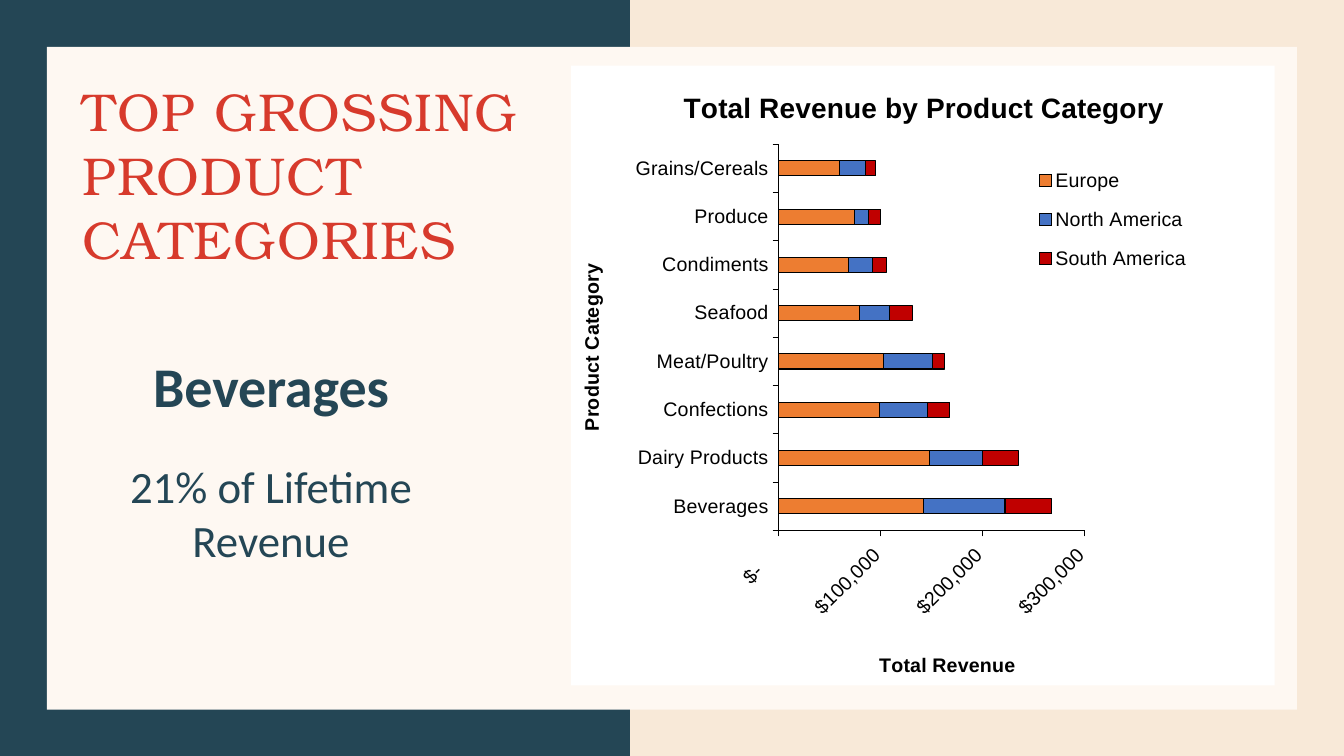
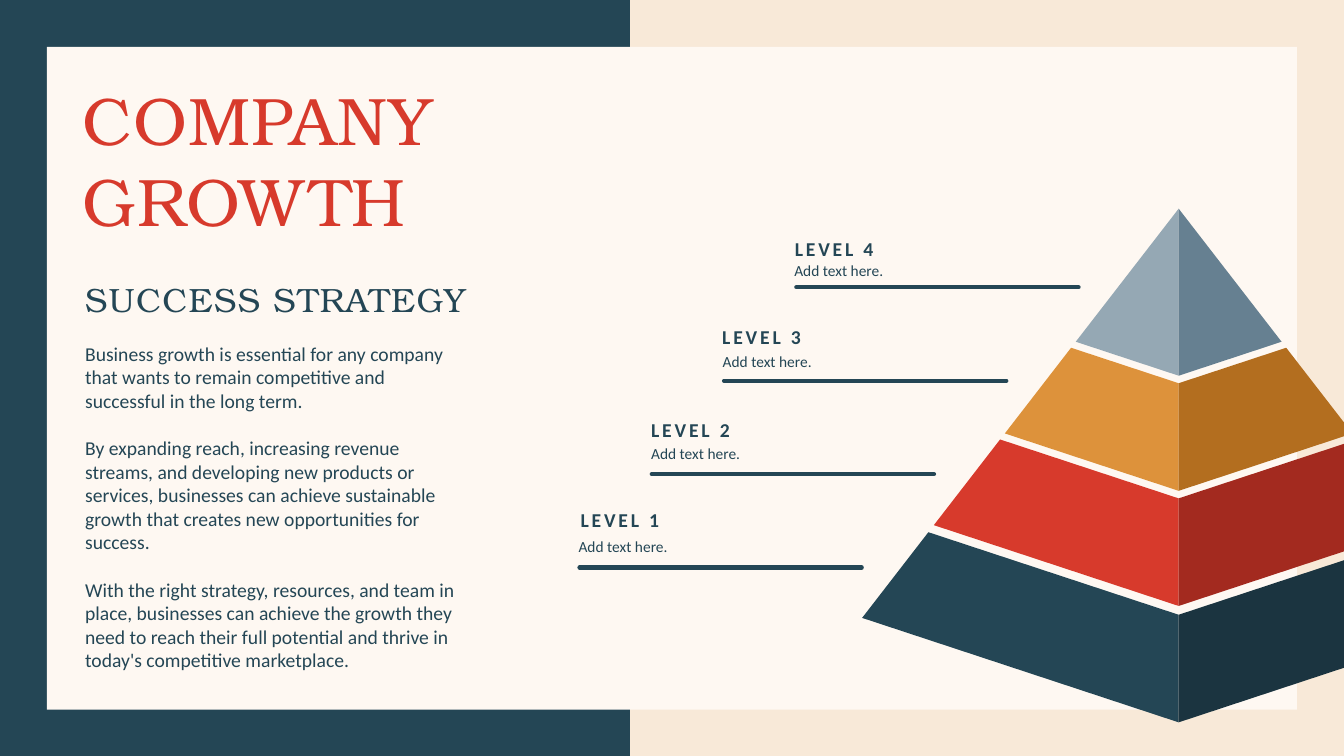
import math
from dataclasses import dataclass
from typing import NamedTuple, Optional

from lxml import etree
from pptx import Presentation
from pptx.chart.data import CategoryChartData
from pptx.dml.color import RGBColor
from pptx.enum.chart import XL_CHART_TYPE, XL_LEGEND_POSITION, XL_TICK_MARK
from pptx.enum.shapes import MSO_CONNECTOR, MSO_SHAPE
from pptx.enum.text import MSO_ANCHOR, PP_ALIGN
from pptx.oxml import parse_xml
from pptx.oxml.ns import nsdecls, qn
from pptx.util import Inches, Pt

STACKED_BARS = XL_CHART_TYPE.BAR_STACKED
LEGEND_RIGHT = XL_LEGEND_POSITION.RIGHT
TICK_OUT = XL_TICK_MARK.OUTSIDE
STRAIGHT = MSO_CONNECTOR.STRAIGHT
RECTANGLE = MSO_SHAPE.RECTANGLE
TOP = MSO_ANCHOR.TOP
LEFT, CENTER = PP_ALIGN.LEFT, PP_ALIGN.CENTER

# The grid has square cells of a tenth of an inch.
COLUMNS, ROWS = 133.33, 75


@dataclass(frozen=True)
class Theme:
    sand: str = "F8E9D8"
    navy: str = "244655"
    cream: str = "FEF8F2"
    red: str = "D73A2C"
    black: str = "000000"
    white: str = "FFFFFF"
    serif: str = "TeX Gyre Bonum"
    sans: str = "Calibri"
    chart_font: str = "Arial"
    long_title: int = 38
    title: int = 48
    subtitle: int = 24
    highlight: int = 40
    statement: int = 32
    body: int = 14
    caption: int = 11
    chart_title: int = 20
    chart_label: int = 14


THEME = Theme()


class Box(NamedTuple):
    """Left, top, width and height in grid cells."""
    left: float
    top: float
    width: float
    height: float


class Share(NamedTuple):
    """Place, and size if fixed, as percentages of a chart."""
    x: float
    y: float
    w: Optional[float] = None
    h: Optional[float] = None


@dataclass(frozen=True)
class TextStyle:
    size: int
    font: str = THEME.sans
    color: str = THEME.navy
    bold: bool = False
    tracking: int = 0
    align: PP_ALIGN = LEFT
    line_spacing: float = 1.0
    before: int = 0


class Paragraph(NamedTuple):
    text: str
    style: TextStyle


class Region(NamedTuple):
    name: str
    color: str
    revenue: tuple[int, ...]


class Level(NamedTuple):
    """A pyramid layer with its side edge from top to bottom, and its label's place."""
    name: str
    top: float
    bottom: float
    light: str
    dark: str
    heading_left: float
    heading_top: float
    caption_left: float
    caption_top: float


BODY = TextStyle(THEME.body)
BODY_NEXT = TextStyle(THEME.body, before=17)
SUBTITLE = TextStyle(THEME.subtitle, THEME.serif, tracking=1, line_spacing=0.85)
HIGHLIGHT = TextStyle(THEME.highlight, bold=True, align=CENTER)
STATEMENT = TextStyle(THEME.statement, align=CENTER, before=29)
LEVEL_NAME = TextStyle(THEME.body, bold=True, tracking=2, line_spacing=0.85)
LEVEL_CAPTION = TextStyle(THEME.caption, line_spacing=0.85)

CATEGORIES = ("Beverages", "Dairy Products", "Confections", "Meat/Poultry",
              "Seafood", "Condiments", "Produce", "Grains/Cereals")
REGIONS = (
    Region("Europe", "ED7D31",
           (142000, 148000, 99000, 103000, 79000, 69000, 74000, 60000)),
    Region("North America", "4472C4",
           (80000, 52000, 47000, 48000, 30000, 23000, 14000, 25000)),
    Region("South America", "C00000",
           (46000, 35000, 22000, 12000, 22000, 14000, 12000, 10000)),
)
DOLLARS = r'_("$"* #,##0_);_("$"* \(#,##0\);_("$"* "-"??_);_(@_)'

LEVELS = (
    Level("LEVEL 4", 20.7, 33.9, "95A8B4", "668091", 77.55, 23.15, 77.5, 25.45),
    Level("LEVEL 3", 34.5, 43, "DD923B", "B36E1F", 70.35, 31.9, 70.4, 34.55),
    Level("LEVEL 2", 43.6, 52.1, THEME.red, "A32A1F", 63.3, 41.15, 63.3, 43.65),
    Level("LEVEL 1", 52.8, 61.3, THEME.navy, "1B3440", 56.3, 50.05, 56.1, 52.9),
)
APEX_X, APEX_Y = 116.93, 20.7
SIDE_SLOPE = 31.4 / 40.6  # columns outwards per row down
BASE_SLOPE = 0.33  # rows up per column outwards
RULE_LEFT, RULE_TOP, RULE_LENGTH = 79, 28.5, 28
RULE_STEP_LEFT, RULE_STEP_DOWN = 7.17, 9.27

STRATEGY = (
    "Business growth is essential for any company that wants to remain competitive "
    "and successful in the long term.",
    "By expanding reach, increasing revenue streams, and developing new products or "
    "services, businesses can achieve sustainable growth that creates new "
    "opportunities for success.",
    "With the right strategy, resources, and team in place, businesses can achieve "
    "the growth they need to reach their full potential and thrive in today's "
    "competitive marketplace.",
)


def cells(count: float) -> int:
    return Inches(count / 10)


def rgb(color: str) -> RGBColor:
    return RGBColor.from_string(color)


def paint(shape, color: str) -> None:
    shape.shadow.inherit = False
    shape.fill.solid()
    shape.fill.fore_color.rgb = rgb(color)
    shape.line.fill.background()


def set_font(font, size: int, name: str, color: str, bold: bool = False) -> None:
    font.size, font.name, font.bold = Pt(size), name, bold
    font.color.rgb = rgb(color)


def add_text(slide, box: Box, *paragraphs: Paragraph) -> None:
    frame = slide.shapes.add_textbox(*map(cells, box)).text_frame
    frame.word_wrap = True
    frame.vertical_anchor = TOP
    frame.margin_left = frame.margin_right = Inches(0.13)
    frame.margin_top = frame.margin_bottom = Inches(0.07)
    for index, (text, style) in enumerate(paragraphs):
        paragraph = frame.add_paragraph() if index else frame.paragraphs[0]
        paragraph.alignment = style.align
        paragraph.line_spacing = style.line_spacing
        paragraph.space_before = Pt(style.before)
        for number, line in enumerate(text.split("\n")):
            if number:
                paragraph.add_line_break()
            run = paragraph.add_run()
            run.text = line
            set_font(run.font, style.size, style.font, style.color, style.bold)
            if style.tracking:
                run.font._element.set("spc", str(style.tracking * 100))


def add_base_slide(deck, title: str, title_size: int, title_width: float):
    """Add a slide with the two-tone backdrop, the cream panel and a title."""
    slide = deck.slides.add_slide(deck.slide_layouts[6])
    slide.background.fill.solid()
    slide.background.fill.fore_color.rgb = rgb(THEME.sand)
    for box, color in ((Box(0, 0, 62.5, ROWS), THEME.navy),
                       (Box(4.66, 4.64, 124, 65.75), THEME.cream)):
        paint(slide.shapes.add_shape(RECTANGLE, *map(cells, box)), color)
    style = TextStyle(title_size, THEME.serif, THEME.red, tracking=1)
    add_text(slide, Box(6.9, 7.1, title_width, 18.3), Paragraph(title, style))
    return slide


def place(element, share: Share) -> None:
    """Give a part of a chart a manual layout."""
    for old in element.findall(qn("c:layout")):
        element.remove(old)
    layout = etree.Element(qn("c:layout"))
    manual = etree.SubElement(layout, qn("c:manualLayout"))
    if element.tag == qn("c:plotArea"):
        etree.SubElement(manual, qn("c:layoutTarget")).set("val", "inner")
    for mode in ("xMode", "yMode"):
        etree.SubElement(manual, qn(f"c:{mode}")).set("val", "edge")
    for key, percent in share._asdict().items():
        if percent is not None:
            etree.SubElement(manual, qn(f"c:{key}")).set("val", str(percent / 100))
    overlay = element.find(qn("c:overlay"))
    if overlay is None:
        element.insert(0, layout)
    else:
        overlay.addprevious(layout)


def write_chart_title(title, text: str, size: int, share: Share) -> None:
    run = title.text_frame.paragraphs[0].add_run()
    run.text = text
    set_font(run.font, size, THEME.chart_font, THEME.black, bold=True)
    place(title._element, share)


def outline(line_format) -> None:
    line_format.color.rgb = rgb(THEME.black)
    line_format.width = Pt(0.75)


def add_revenue_chart(slide, box: Box) -> None:
    data = CategoryChartData(number_format="General")
    data.categories = CATEGORIES
    for region in REGIONS:
        data.add_series(region.name, region.revenue)
    chart = slide.shapes.add_chart(STACKED_BARS, *map(cells, box), data).chart
    set_font(chart.font, THEME.chart_label, THEME.chart_font, THEME.black)
    chart._chartSpace.chart.addnext(parse_xml(
        f'<c:spPr {nsdecls("c", "a")}><a:solidFill><a:srgbClr val="{THEME.white}"/>'
        '</a:solidFill><a:ln><a:noFill/></a:ln></c:spPr>'))

    plot = chart.plots[0]
    plot.gap_width, plot.overlap, plot.vary_by_categories = 219, 100, False
    place(plot._element.getparent(), Share(29.5, 12.7, 43.5, 62.3))
    for series, region in zip(plot.series, REGIONS):
        series.format.fill.solid()
        series.format.fill.fore_color.rgb = rgb(region.color)
        outline(series.format.line)

    write_chart_title(chart.chart_title, "Total Revenue by Product Category",
                      THEME.chart_title, Share(15.3, 3.1))
    for axis, name, share in (
            (chart.category_axis, "Product Category", Share(0.6, 31.4)),
            (chart.value_axis, "Total Revenue", Share(43.3, 94.1))):
        write_chart_title(axis.axis_title, name, THEME.chart_label, share)
        axis.has_major_gridlines = False
        axis.major_tick_mark = TICK_OUT
        outline(axis.format.line)
        set_font(axis.tick_labels.font, THEME.chart_label, THEME.chart_font, THEME.black)
    revenue_axis = chart.value_axis
    revenue_axis.minimum_scale, revenue_axis.maximum_scale = 0, 300000
    revenue_axis.major_unit = 100000
    revenue_axis.tick_labels.number_format = DOLLARS
    revenue_axis.tick_labels.number_format_is_linked = False
    revenue_axis._element.txPr.bodyPr.set("rot", str(-45 * 60000))

    chart.has_legend = True
    chart.legend.position = LEGEND_RIGHT
    chart.legend.include_in_layout = False
    set_font(chart.legend.font, THEME.chart_label, THEME.chart_font, THEME.black)
    place(chart.legend._element, Share(64.5, 14, 25, 21.6))


def add_face(slide, level: Level, color: str, side: int, limit: float) -> None:
    """Draw one face of a layer; side is -1 or 1, limit its widest reach."""
    reaches = [(y - APEX_Y) * SIDE_SLOPE for y in (level.top, level.bottom)]
    middles = [y + reach * BASE_SLOPE
               for y, reach in zip((level.top, level.bottom), reaches)]
    corners = [(min(reach, limit), middle - min(reach, limit) * BASE_SLOPE)
               for reach, middle in zip(reaches, middles)]
    if reaches[0] < limit < reaches[1]:
        corners.insert(1, (limit, APEX_Y + limit / SIDE_SLOPE))
    points = [(cells(APEX_X + side * x), cells(y))
              for x, y in [(0, middles[0]), *corners, (0, middles[1])]]
    builder = slide.shapes.build_freeform(*points[0])
    builder.add_line_segments(points[1:], close=True)
    paint(builder.convert_to_shape(), color)


def add_rule(slide, left: float, top: float) -> None:
    rule = slide.shapes.add_connector(
        STRAIGHT, cells(left), cells(top), cells(left + RULE_LENGTH), cells(top))
    rule.line.color.rgb = rgb(THEME.navy)
    rule.line.width = Pt(3)
    rule.line._get_or_add_ln().set("cap", "rnd")
    etree.SubElement(rule._element.spPr, qn("a:effectLst"))


def add_revenue_slide(deck) -> None:
    slide = add_base_slide(deck, "TOP GROSSING\nPRODUCT\nCATEGORIES",
                           THEME.long_title, 47.9)
    add_text(slide, Box(7.14, 34.15, 39.5, 25), Paragraph("Beverages", HIGHLIGHT),
             Paragraph("21% of Lifetime Revenue", STATEMENT))
    add_revenue_chart(slide, Box(56.65, 6.5, 69.8, 61.5))


def add_growth_slide(deck) -> None:
    slide = add_base_slide(deck, "COMPANY GROWTH", THEME.title, 45)
    add_text(slide, Box(7.14, 27.6, 44.5, 3.7), Paragraph("SUCCESS STRATEGY", SUBTITLE))
    add_text(slide, Box(7.14, 33.2, 39.5, 35.9),
             *(Paragraph(text, BODY_NEXT if index else BODY)
               for index, text in enumerate(STRATEGY)))
    for index, level in enumerate(LEVELS):
        add_text(slide, Box(level.heading_left, level.heading_top, 21, 3.3),
                 Paragraph(level.name, LEVEL_NAME))
        add_text(slide, Box(level.caption_left, level.caption_top, 21, 3.3),
                 Paragraph("Add text here.", LEVEL_CAPTION))
        add_rule(slide, RULE_LEFT - index * RULE_STEP_LEFT,
                 RULE_TOP + index * RULE_STEP_DOWN)
        add_face(slide, level, level.light, -1, math.inf)
        add_face(slide, level, level.dark, 1, COLUMNS - APEX_X)


def main() -> None:
    deck = Presentation()
    deck.slide_width, deck.slide_height = cells(COLUMNS), cells(ROWS)
    add_revenue_slide(deck)
    add_growth_slide(deck)
    deck.save("out.pptx")


if __name__ == "__main__":
    main()
